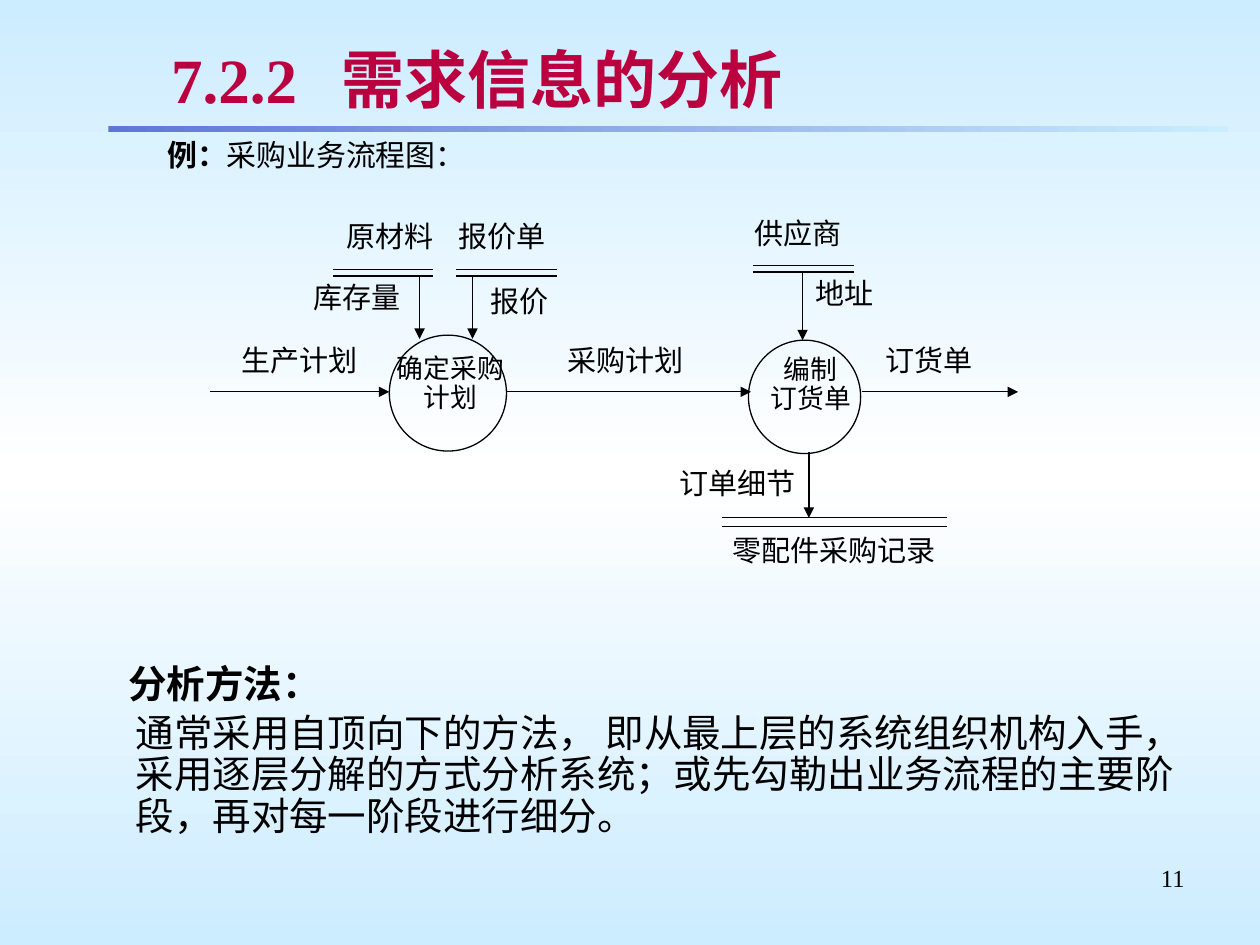
"""Build the slide on analysing information needs, with a purchasing flow chart."""
import copy
from dataclasses import dataclass
from typing import Any

import lxml.etree
import pptx
import pptx.dml.color
import pptx.enum.shapes
import pptx.enum.text
import pptx.oxml.ns
import pptx.util

Inches = pptx.util.Inches
Pt = pptx.util.Pt
Shape = pptx.enum.shapes.MSO_SHAPE
Align = pptx.enum.text.PP_ALIGN
qn = pptx.oxml.ns.qn

FONT = "Times New Roman"
COLORS = {"ink": "000000", "title": "BA003E", "shade": "C0C0C0",
          "sky": "CCECFF", "white": "FFFFFF", "bar": "5F76D7"}


@dataclass
class Label:
    text: str
    left: float
    top: float
    width: float
    height: float = 0.4
    size: float = 16.6
    align: Any = Align.CENTER


@dataclass
class Line:
    left: float
    top: float
    right: float
    end: float
    arrow: bool = True


@dataclass
class Store:
    left: float
    top: float
    width: float
    gap: float = 0.05


@dataclass
class Ring:
    left: float
    top: float
    width: float
    height: float


LABELS = [
    Label("库存量", 2.34, 2.2, 0.99),
    Label("报价", 3.73, 2.23, 0.79),
    Label("原材料", 2.56, 1.72, 1.07),
    Label("报价单", 3.45, 1.72, 1.07),
    Label("确定采购计划", 3.04, 2.77, 1.07, 0.66, 15.3),
    Label("编制\n订货单", 5.87, 2.78, 1.13, 0.6, 15.3),
    Label("生产计划", 1.75, 2.7, 1.25),
    Label("采购计划", 4.34, 2.7, 1.25),
    Label("供应商", 5.89, 1.69, 1.07, align=Align.LEFT),
    Label("地址", 6.37, 2.17, 0.79, align=Align.LEFT),
    Label("订单细节", 5.23, 3.68, 1.25),
    Label("零配件采购记录", 5.64, 4.21, 1.95),
    Label("订货单", 6.84, 2.7, 1.07),
]
FLOWS = [
    Line(3.33, 2.19, 3.33, 2.69),
    Line(3.75, 2.19, 3.75, 2.69),
    Line(6.37, 2.17, 6.37, 2.7),
    Line(6.42, 3.59, 6.42, 4.11),
    Line(1.67, 3.11, 3.09, 3.11),
    Line(4.02, 3.11, 5.96, 3.11),
    Line(6.84, 3.11, 8.08, 3.11),
]
STORES = [Store(2.64, 2.14, 0.8), Store(3.62, 2.14, 0.8),
          Store(5.98, 2.11, 0.8), Store(5.73, 4.11, 1.79, 0.07)]
RINGS = [Ring(3.09, 2.66, 0.93, 0.92), Ring(5.94, 2.7, 0.89, 0.9)]


def rgb(name: str) -> pptx.dml.color.RGBColor:
    """Look up a named colour."""
    return pptx.dml.color.RGBColor.from_string(COLORS[name])


def add_box(slide: Any, left: float, top: float, width: float, height: float) -> Any:
    """Add a wrapping text box and return its frame."""
    box = slide.shapes.add_textbox(Inches(left), Inches(top), Inches(width), Inches(height))
    box.text_frame.word_wrap = True
    return box.text_frame


def set_font(para: Any, size: float, color: str = "ink", bold: Any = None) -> None:
    """Style a whole paragraph."""
    font = para.font
    font.name, font.size, font.bold = FONT, Pt(size), bold
    font.color.rgb = rgb(color)


def set_left(para: Any, margin: float) -> None:
    """Indent every line of a paragraph alike."""
    props = para._p.get_or_add_pPr()
    props.set("marL", str(Inches(margin)))
    props.set("indent", "0")


def add_label(slide: Any, label: Label) -> None:
    """Add a chart label."""
    frame = add_box(slide, label.left, label.top, label.width, label.height)
    frame.text = label.text
    for para in frame.paragraphs:
        para.alignment, para.line_spacing = label.align, 0.9
        set_font(para, label.size)


def add_line(slide: Any, line: Line) -> None:
    """Add a thin line, with an arrowhead if asked."""
    link = slide.shapes.add_connector(
        pptx.enum.shapes.MSO_CONNECTOR.STRAIGHT, Inches(line.left), Inches(line.top),
        Inches(line.right), Inches(line.end))
    link.line.width = Pt(0.75)
    link.line.color.rgb = rgb("ink")
    if line.arrow:
        lxml.etree.SubElement(link.line._get_or_add_ln(), qn("a:tailEnd"), type="triangle")
    lxml.etree.SubElement(link._element.spPr, qn("a:effectLst"))


def add_store(slide: Any, store: Store) -> None:
    """Add the double line of a data store."""
    for top in (store.top, store.top + store.gap):
        add_line(slide, Line(store.left, top, store.left + store.width, top, False))


def add_ring(slide: Any, ring: Ring) -> None:
    """Add the circle of a process."""
    shape = slide.shapes.add_shape(Shape.OVAL, Inches(ring.left), Inches(ring.top),
                                   Inches(ring.width), Inches(ring.height))
    shape.shadow.inherit = False
    shape.fill.background()
    shape.line.color.rgb = rgb("ink")
    shape.line.width = Pt(0.75)


def set_back(slide: Any) -> None:
    """Fill the background from sky to white to sky."""
    fill = slide.background.fill
    fill.gradient()
    fill.gradient_angle = 90
    stops = next(slide._element.iter(qn("a:gsLst")))
    stops.append(copy.deepcopy(stops[0]))
    for stop, name, place in zip(fill.gradient_stops, ("sky", "white", "sky"), (0, 0.5, 1)):
        stop.color.rgb, stop.position = rgb(name), place


def add_bar(slide: Any) -> None:
    """Add the fading rule below the title."""
    bar = slide.shapes.add_shape(Shape.RECTANGLE, Inches(0.86), Inches(1), Inches(8.89), Inches(0.05))
    bar.shadow.inherit = False
    bar.line.fill.background()
    bar.fill.gradient()
    bar.fill.gradient_angle = 0
    for stop, name, place in zip(bar.fill.gradient_stops, ("bar", "sky"), (0, 1)):
        stop.color.rgb, stop.position = rgb(name), place


def add_title(slide: Any) -> None:
    """Add the title with its text shadow."""
    frame = add_box(slide, 1.26, 0.29, 8.24, 0.67)
    frame.margin_top = frame.margin_bottom = Inches(0.04)
    frame.vertical_anchor = pptx.enum.text.MSO_ANCHOR.MIDDLE
    para = frame.paragraphs[0]
    tabs = lxml.etree.SubElement(para._p.get_or_add_pPr(), qn("a:tabLst"))
    lxml.etree.SubElement(tabs, qn("a:tab"), pos=str(Inches(1.35)), algn="l")
    set_font(para, 36, "title", True)
    run = para.add_run()
    run.text = "7.2.2\t需求信息的分析"
    effect = lxml.etree.SubElement(run._r.get_or_add_rPr(), qn("a:effectLst"))
    shade = lxml.etree.SubElement(effect, qn("a:outerShdw"), dist=str(Pt(2)), dir="2700000")
    lxml.etree.SubElement(shade, qn("a:srgbClr"), val=COLORS["shade"])


def add_texts(slide: Any) -> None:
    """Add the example line, the method and the page number."""
    para = add_box(slide, 0.42, 1.09, 9.25, 0.42).paragraphs[0]
    set_left(para, 0.81)
    para.line_spacing = 0.8
    set_font(para, 17.1)
    for text, bold in (("例：", True), ("采购业务流程图：", False)):
        run = para.add_run()
        run.text, run.font.bold = text, bold

    frame = add_box(slide, 0.42, 5.23, 9.25, 1.85)
    frame.text = ("分析方法：\n通常采用自顶向下的方法， 即从最上层的系统组织机构入手，"
                  "采用逐层分解的方式分析系统；或先勾勒出业务流程的主要阶段，再对每一阶段进行细分。")
    for para, margin, bold in zip(frame.paragraphs, (0.5, 0.56), (True, False)):
        set_left(para, margin)
        para.line_spacing = 0.9
        set_font(para, 22, bold=bold)
    frame.paragraphs[1].space_before = Pt(4.1)

    add_label(slide, Label("11", 7.17, 6.83, 2.33, 0.52, 14, Align.RIGHT))


def main() -> None:
    """Build and save the slide."""
    deck = pptx.Presentation()
    deck.slide_width, deck.slide_height = Inches(10), Inches(7.5)
    slide = deck.slides.add_slide(deck.slide_layouts[6])
    set_back(slide)
    add_bar(slide)
    add_title(slide)
    add_texts(slide)
    for draw, items in ((add_ring, RINGS), (add_label, LABELS),
                        (add_store, STORES), (add_line, FLOWS)):
        for item in items:
            draw(slide, item)
    deck.save("out.pptx")


if __name__ == "__main__":
    main()
